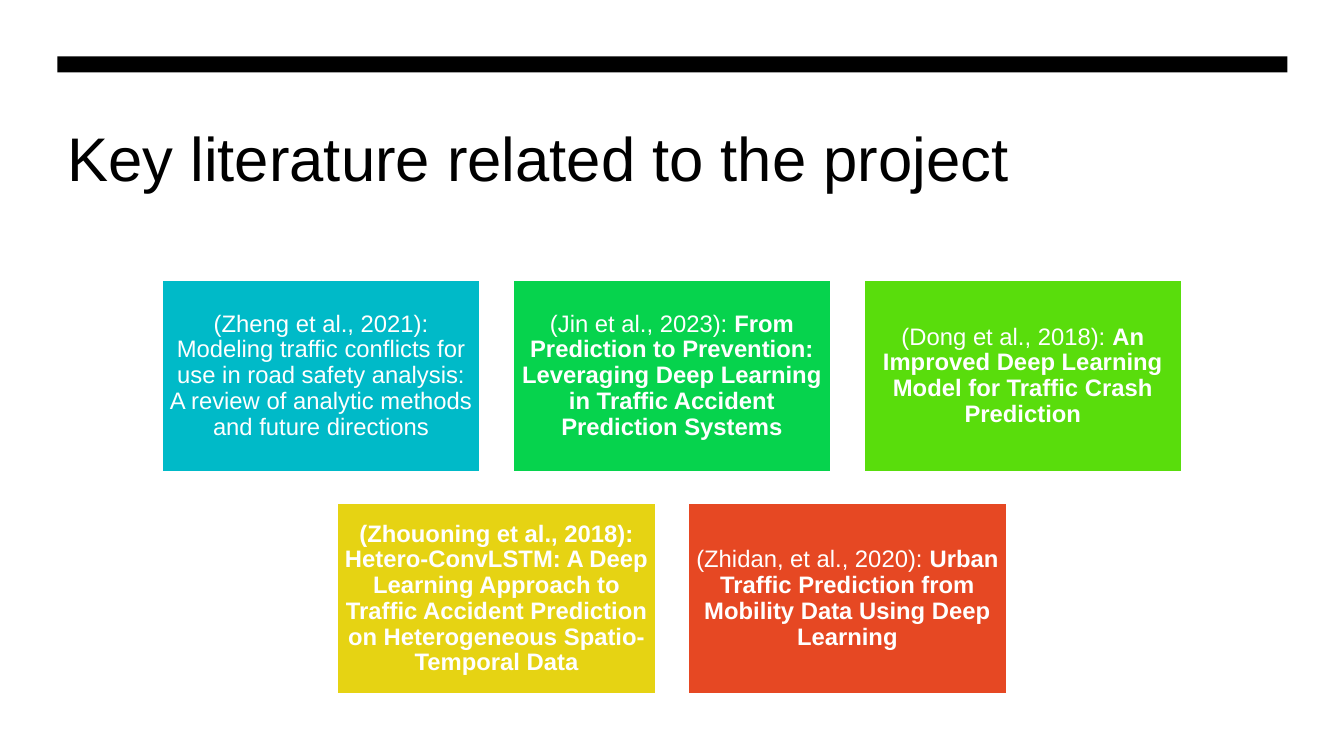
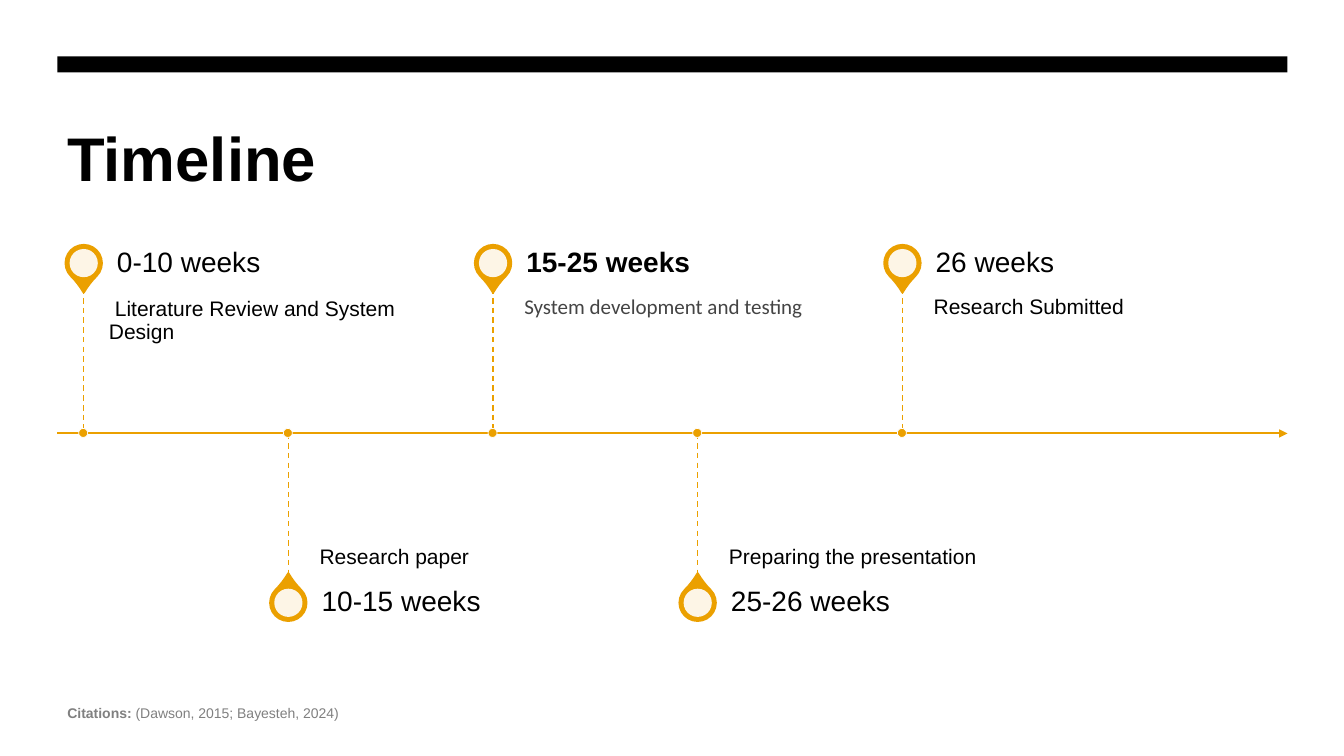
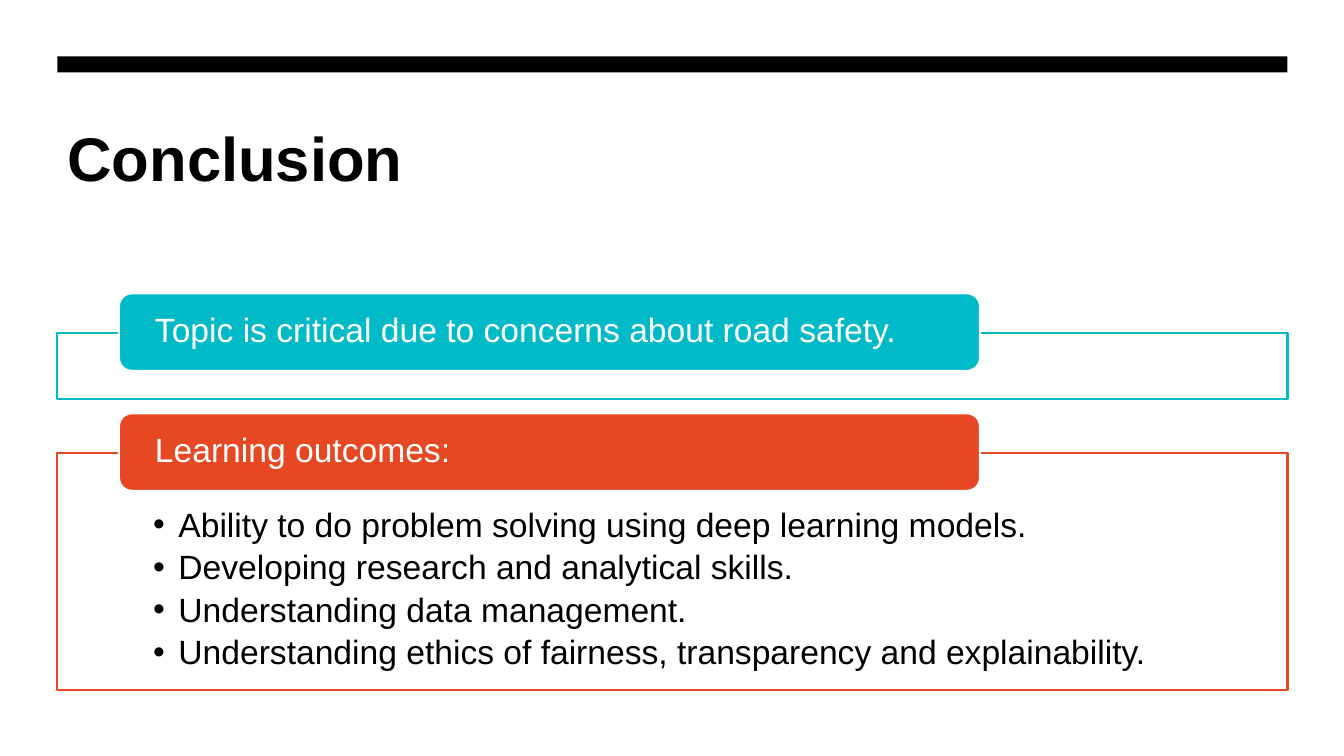
"""Build three slides: key literature, project timeline and conclusion."""
from lxml import etree
from pptx import Presentation
from pptx import util as u
from pptx.dml.color import RGBColor
from pptx.enum import dml, shapes, text
from pptx.oxml import ns

Inches = u.Inches
BLACK, WHITE, GREY, DARK = "000000", "FFFFFF", "808080", "444444"
TEAL, RED, AMBER = "00BAC8", "E64823", "EBA000"
LEFT, CONTENT_WIDTH = 0.57, 12.2
BOLD = {"bold": True}
MIDDLE, BOTTOM = text.MSO_ANCHOR.MIDDLE, text.MSO_ANCHOR.BOTTOM
RECTANGLE, ELLIPSE = shapes.MSO_SHAPE.RECTANGLE, shapes.MSO_SHAPE.OVAL

LITERATURE_ROWS = [
    [
        (TEAL, [("(Zheng et al., 2021): Modeling traffic conflicts for use in road safety "
                 "analysis: A review of analytic methods and future directions", {})]),
        ("06D34D", [("(Jin et al., 2023): ", {}),
                    ("From Prediction to Prevention: Leveraging Deep Learning in Traffic "
                     "Accident Prediction Systems", BOLD)]),
        ("59DD0C", [("(Dong et al., 2018): ", {}),
                    ("An Improved Deep Learning Model for Traffic Crash Prediction", BOLD)]),
    ],
    [
        ("E6D313", [("(Zhouoning et al., 2018): Hetero-ConvLSTM: A Deep Learning Approach to "
                     "Traffic Accident Prediction on Heterogeneous Spatio-Temporal Data", BOLD)]),
        (RED, [("(Zhidan, et al., 2020): ", {}),
               ("Urban Traffic Prediction from Mobility Data Using Deep Learning", BOLD)]),
    ],
]
MILESTONES = [
    ("0-10 weeks", {}, "Literature Review and System Design", {}),
    ("10-15 weeks", {}, "Research paper", {}),
    ("15-25 weeks", BOLD, "System development and testing", {"name": "Calibri", "color": DARK}),
    ("25-26 weeks", {}, "Preparing the presentation", {}),
    ("26 weeks", {}, "Research Submitted", {}),
]
CITATIONS = [("Citations: ", BOLD), ("(Dawson, 2015; Bayesteh, 2024)", {})]
CONCLUSIONS = [
    (TEAL, 2.91, 0.66, "Topic is critical due to concerns about road safety.", []),
    (RED, 4.1, 2.36, "Learning outcomes:", [
        "Ability to do problem solving using deep learning models.",
        "Developing research and analytical skills.",
        "Understanding data management.",
        "Understanding ethics of fairness, transparency and explainability.",
    ]),
]


def rgb(value):
    return RGBColor.from_string(value)


def add_element(parent, tag, **attributes):
    return etree.SubElement(parent, ns.qn(tag), attributes)


def write(shape, paragraphs, size, color=BLACK, insets=(0.1, 0.05, 0.1, 0.05),
          anchor=text.MSO_ANCHOR.TOP, align=text.PP_ALIGN.LEFT, spacing=0.9,
          after=0, indent=0, bullet=None):
    frame = shape.text_frame
    layout = dict(zip(("margin_left", "margin_top", "margin_right", "margin_bottom"),
                      map(Inches, insets)), word_wrap=True, vertical_anchor=anchor)
    for name, value in layout.items():
        setattr(frame, name, value)
    for index, runs in enumerate(paragraphs):
        paragraph = frame.add_paragraph() if index else frame.paragraphs[0]
        settings = {"alignment": align, "line_spacing": spacing, "space_after": u.Pt(after)}
        for name, value in settings.items():
            setattr(paragraph, name, value)
        properties = paragraph._p.get_or_add_pPr()
        properties.set("marL", str(Inches(max(-indent, 0))))
        properties.set("indent", str(Inches(indent)))
        if bullet:
            add_element(properties, "a:buFont", typeface="Arial")
            add_element(properties, "a:buChar", char=bullet)
        for words, changes in runs:
            run = paragraph.add_run()
            run.text = words
            style = {"name": "Arial", "size": u.Pt(size), "bold": False, "color": color} | changes
            run.font.color.rgb = rgb(style.pop("color"))
            for name, value in style.items():
                setattr(run.font, name, value)


def add_text(slide, box, paragraphs, size, **layout):
    shape = slide.shapes.add_textbox(*map(Inches, box))
    write(shape, paragraphs, size, **layout)


def add_block(slide, kind, box, fill, line=None, width=1.5, opacity=None):
    shape = slide.shapes.add_shape(kind, *map(Inches, box))
    shape.shadow.inherit = False
    shape.fill.solid()
    shape.fill.fore_color.rgb = rgb(fill)
    if opacity:
        color = shape._element.spPr.find(ns.qn("a:solidFill"))[0]
        add_element(color, "a:alpha", val=str(opacity * 1000))
    if line:
        shape.line.color.rgb = rgb(line)
        shape.line.width = u.Pt(width)
    else:
        shape.line.fill.background()
    return shape


def add_line(slide, ends, width):
    line = slide.shapes.add_connector(shapes.MSO_CONNECTOR.STRAIGHT, *map(Inches, ends))
    line.line.color.rgb = rgb(AMBER)
    line.line.width = u.Pt(width)
    add_element(line._element.spPr, "a:effectLst")
    return line


def start_slide(presentation, title, style):
    slide = presentation.slides.add_slide(presentation.slide_layouts[6])
    add_block(slide, RECTANGLE, (LEFT, 0.56, CONTENT_WIDTH, 0.16), BLACK)
    add_text(slide, (LEFT, 1.07, CONTENT_WIDTH, 1.6), [[(title, style)]], 44,
             insets=(0.1, 0.12, 0.1, 0.05), spacing=1)
    return slide


def build_literature(presentation):
    slide = start_slide(presentation, "Key literature related to the project", {})
    width, height, gap = 3.16, 1.9, 0.32
    for row, cards in enumerate(LITERATURE_ROWS):
        start = (13.33 - len(cards) * (width + gap) + gap) / 2
        for column, (fill, runs) in enumerate(cards):
            box = (start + column * (width + gap), 2.78 + row * 2.21, width, height)
            card = add_block(slide, RECTANGLE, box, fill, WHITE)
            write(card, [runs], 17, WHITE, insets=(0.07,) * 4, anchor=MIDDLE,
                  align=text.PP_ALIGN.CENTER)


def add_milestone(slide, center, axis, above, milestone):
    period, period_style, task, task_style = milestone
    tip = axis - 1.44 if above else axis + 1.43
    pin = tip - 0.25 if above else tip + 0.25
    teardrop = add_block(slide, shapes.MSO_SHAPE.TEAR,
                         (center - 0.18, pin - 0.18, 0.36, 0.36), AMBER, AMBER)
    teardrop.adjustments[0] = 1.15
    teardrop.rotation = 135 if above else 315
    add_block(slide, ELLIPSE, (center - 0.14, pin - 0.14, 0.28, 0.28), WHITE, opacity=90)
    left, width = center + 0.25, 3.38
    if above:
        layout = {"insets": (0, 0.1, 0.1, 0.16)}
    else:
        layout = {"insets": (0, 0.16, 0, 0.1), "anchor": BOTTOM}
    add_text(slide, (left, min(axis, tip), width, 1.43), [[(task, task_style)]], 15,
             indent=0.06, **layout)
    add_text(slide, (left, pin - 0.25, width, 0.5), [[(period, period_style)]], 20,
             insets=(0, 0, 0.14, 0), anchor=MIDDLE, indent=0.08)
    stem = add_line(slide, (center, min(axis, tip), center, max(axis, tip)), 1)
    stem.line.dash_style = dml.MSO_LINE.DASH
    add_block(slide, ELLIPSE, (center - 0.05, axis - 0.05, 0.09, 0.09), AMBER, WHITE, 0.5)


def build_timeline(presentation):
    slide = start_slide(presentation, "Timeline", BOLD)
    axis = 4.3
    arrow = add_line(slide, (LEFT, axis, LEFT + CONTENT_WIDTH, axis), 1.5)
    add_element(arrow.line._get_or_add_ln(), "a:tailEnd", type="triangle")
    for index, milestone in enumerate(MILESTONES):
        add_milestone(slide, 0.83 + index * 2.03, axis, index % 2 == 0, milestone)
    add_text(slide, (LEFT, 6.94, 5.43, 0.27), [CITATIONS], 10, color=GREY, spacing=1)


def build_conclusion(presentation):
    slide = start_slide(presentation, "Conclusion", BOLD)
    for color, top, height, heading, points in CONCLUSIONS:
        frame = add_block(slide, RECTANGLE, (LEFT, top + 0.39, CONTENT_WIDTH, height),
                          WHITE, color, opacity=90)
        if points:
            write(frame, [[(point, {})] for point in points], 24,
                  insets=(0.95, 0.55, 0.95, 0.19), after=4.5, indent=-0.25, bullet="•")
        header = add_block(slide, shapes.MSO_SHAPE.ROUNDED_RECTANGLE,
                           (1.18, top, 8.54, 0.77), color, WHITE)
        write(header, [[(heading, {})]], 24, WHITE, insets=(0.32, 0, 0.32, 0), anchor=MIDDLE)


def main():
    presentation = Presentation()
    presentation.slide_width = Inches(13.33)
    presentation.slide_height = Inches(7.5)
    for build in (build_literature, build_timeline, build_conclusion):
        build(presentation)
    presentation.save("out.pptx")


if __name__ == "__main__":
    main()
